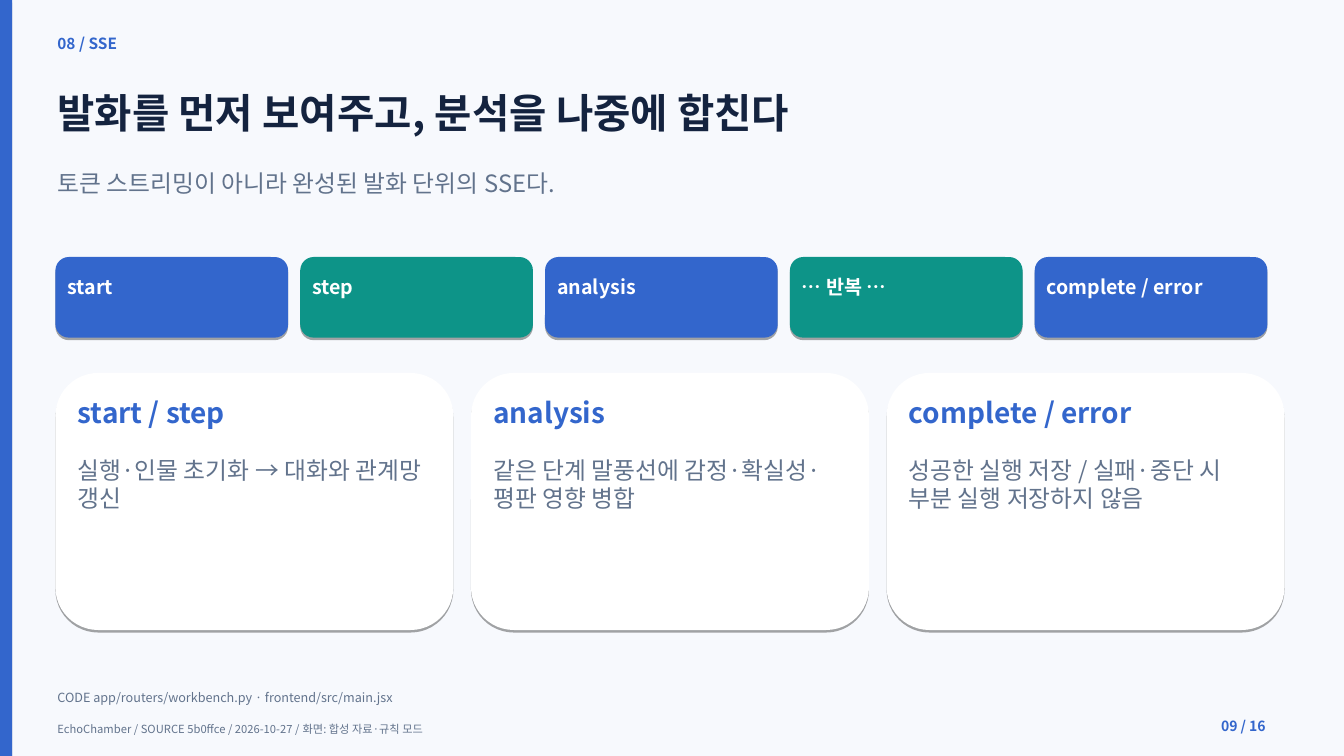
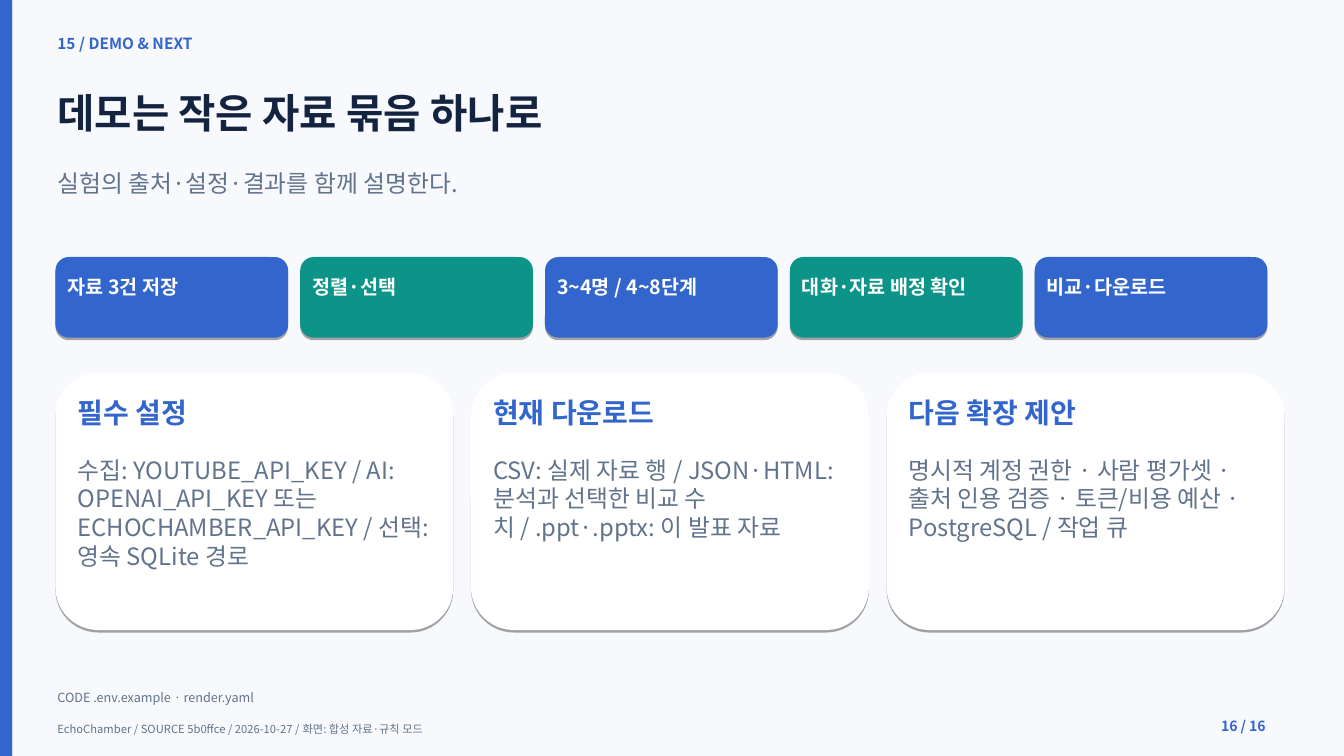
from dataclasses import dataclass

from pptx import Presentation
from pptx.dml.color import RGBColor
from pptx.enum.shapes import MSO_SHAPE
from pptx.enum.text import MSO_ANCHOR, MSO_AUTO_SIZE
from pptx.oxml import parse_xml
from pptx.oxml.ns import nsdecls, qn
from pptx.util import Inches, Pt


@dataclass(frozen=True)
class Style:
    """Size, colour and weight of one kind of text."""
    size: int
    color: str
    bold: bool = False


class Theme:
    """Colours, type styles and grid shared by all slides."""
    FONT = "Noto Sans CJK KR"
    PAPER, BLUE, TEAL, WHITE = "F7F9FD", "3366CC", "0D9488", "FFFFFF"
    INK, MUTED = "14233F", "62738C"
    SECTION = Style(11, BLUE, True)
    TITLE = Style(29, INK, True)
    BODY = Style(17, MUTED)
    STEP = Style(14, WHITE, True)
    CARD = Style(20, BLUE, True)
    CODE = Style(9, MUTED)
    SOURCE = Style(8, MUTED)
    PAGE = Style(10, BLUE, True)
    WIDTH, HEIGHT, LEFT, CONTENT = 13.34, 7.5, 0.55, 12
    INSET = 0.02


SOURCE_LINE = "EchoChamber / SOURCE 5b0ffce / 2026-10-27 / 화면: 합성 자료·규칙 모드"
TOTAL = 16
SLIDES = [
    {
        "page": 9,
        "section": "08 / SSE",
        "title": "발화를 먼저 보여주고, 분석을 나중에 합친다",
        "lead": "토큰 스트리밍이 아니라 완성된 발화 단위의 SSE다.",
        "steps": ["start", "step", "analysis", "… 반복 …", "complete / error"],
        "cards": [
            ("start / step", "실행·인물 초기화 → 대화와 관계망 갱신"),
            ("analysis", "같은 단계 말풍선에 감정·확실성·평판 영향 병합"),
            ("complete / error", "성공한 실행 저장 / 실패·중단 시 부분 실행 저장하지 않음"),
        ],
        "code": "CODE app/routers/workbench.py · frontend/src/main.jsx",
    },
    {
        "page": 16,
        "section": "15 / DEMO & NEXT",
        "title": "데모는 작은 자료 묶음 하나로",
        "lead": "실험의 출처·설정·결과를 함께 설명한다.",
        "steps": ["자료 3건 저장", "정렬·선택", "3~4명 / 4~8단계",
                  "대화·자료 배정 확인", "비교·다운로드"],
        "cards": [
            ("필수 설정", "수집: YOUTUBE_API_KEY / AI: OPENAI_API_KEY 또는 "
                      "ECHOCHAMBER_API_KEY / 선택: 영속 SQLite 경로"),
            ("현재 다운로드", "CSV: 실제 자료 행 / JSON·HTML: 분석과 선택한 비교 수치 / "
                        ".ppt·.pptx: 이 발표 자료"),
            ("다음 확장 제안", "명시적 계정 권한 · 사람 평가셋 · 출처 인용 검증 · "
                         "토큰/비용 예산 · PostgreSQL / 작업 큐"),
        ],
        "code": "CODE .env.example · render.yaml",
    },
]


def add_text(s, text, style, x, y, w, h):
    """Add a wrapped text box in one style."""
    sp = s.shapes.add_textbox(Inches(x), Inches(y), Inches(w), Inches(h))
    tf = sp.text_frame
    tf.word_wrap = True
    tf.auto_size = MSO_AUTO_SIZE.SHAPE_TO_FIT_TEXT
    tf.vertical_anchor = MSO_ANCHOR.TOP
    tf.margin_left = tf.margin_right = Inches(Theme.INSET)
    tf.margin_top = tf.margin_bottom = Inches(Theme.INSET)
    tf.text = text
    font = tf.paragraphs[0].runs[0].font
    font.name, font.size, font.bold = Theme.FONT, Pt(style.size), style.bold
    font.color.rgb = RGBColor.from_string(style.color)
    rpr = tf.paragraphs[0].runs[0]._r.get_or_add_rPr()
    rpr.append(parse_xml(f'<a:ea {nsdecls("a")} typeface="{Theme.FONT}"/>'))


def add_panel(s, kind, color, x, y, w, h):
    """Add a borderless filled shape with a thin shadow below it."""
    sp = s.shapes.add_shape(kind, Inches(x), Inches(y), Inches(w), Inches(h))
    sp.fill.solid()
    sp.fill.fore_color.rgb = RGBColor.from_string(color)
    sp.line.fill.background()
    sp.shadow.inherit = False
    sp._element.spPr.find(qn("a:effectLst")).append(parse_xml(
        f'<a:outerShdw {nsdecls("a")} blurRad="0" dist="{Pt(1.8)}" dir="5400000" '
        'algn="ctr" rotWithShape="0"><a:srgbClr val="000000">'
        '<a:alpha val="35000"/></a:srgbClr></a:outerShdw>'))


def columns(count, width, span):
    """Return left edges of equal columns spread over a span."""
    pitch = (span - width) / (count - 1)
    return [Theme.LEFT + i * pitch for i in range(count)]


def add_steps(s, labels):
    """Add the row of steps in alternating colours."""
    w, y, pad = 2.31, 2.55, 0.1
    for i, (x, label) in enumerate(zip(columns(len(labels), w, 12.03), labels)):
        color = (Theme.BLUE, Theme.TEAL)[i % 2]
        add_panel(s, MSO_SHAPE.ROUNDED_RECTANGLE, color, x, y, w, 0.8)
        add_text(s, label, Theme.STEP, x + pad, y + 0.16, w - 2 * pad, 0.27)


def add_cards(s, cards):
    """Add the row of cards with a heading and a body."""
    w, y, pad = 3.95, 3.7, 0.2
    for x, (heading, body) in zip(columns(len(cards), w, 12.2), cards):
        add_panel(s, MSO_SHAPE.ROUNDED_RECTANGLE, Theme.WHITE, x, y, w, 2.55)
        add_text(s, heading, Theme.CARD, x + pad, y + pad, w - 2 * pad, 0.37)
        add_text(s, body, Theme.BODY, x + pad, y + 0.8, w - 2 * pad, 1.17)


def add_frame(s, data):
    """Add the side band, heading lines and footer."""
    add_panel(s, MSO_SHAPE.RECTANGLE, Theme.BLUE, 0, 0, 0.12, Theme.HEIGHT)
    lines = [
        (data["section"], Theme.SECTION, 0.32, 0.22),
        (data["title"], Theme.TITLE, 0.85, 0.52),
        (data["lead"], Theme.BODY, 1.65, 0.32),
        (data["code"], Theme.CODE, 6.82, 0.19),
    ]
    for text, style, y, h in lines:
        add_text(s, text, style, Theme.LEFT, y, Theme.CONTENT, h)
    add_text(s, SOURCE_LINE, Theme.SOURCE, Theme.LEFT, 7.15, 11.5, 0.17)
    add_text(s, f"{data['page']:02} / {TOTAL}", Theme.PAGE, 12.1, 7.1, 0.7, 0.21)


def main():
    """Build and save the slides."""
    prs = Presentation()
    prs.slide_width, prs.slide_height = Inches(Theme.WIDTH), Inches(Theme.HEIGHT)
    fill = prs.slide_master.background.fill
    fill.solid()
    fill.fore_color.rgb = RGBColor.from_string(Theme.PAPER)
    for data in SLIDES:
        s = prs.slides.add_slide(prs.slide_layouts[6])
        add_frame(s, data)
        add_steps(s, data["steps"])
        add_cards(s, data["cards"])
    prs.save("out.pptx")


if __name__ == "__main__":
    main()
